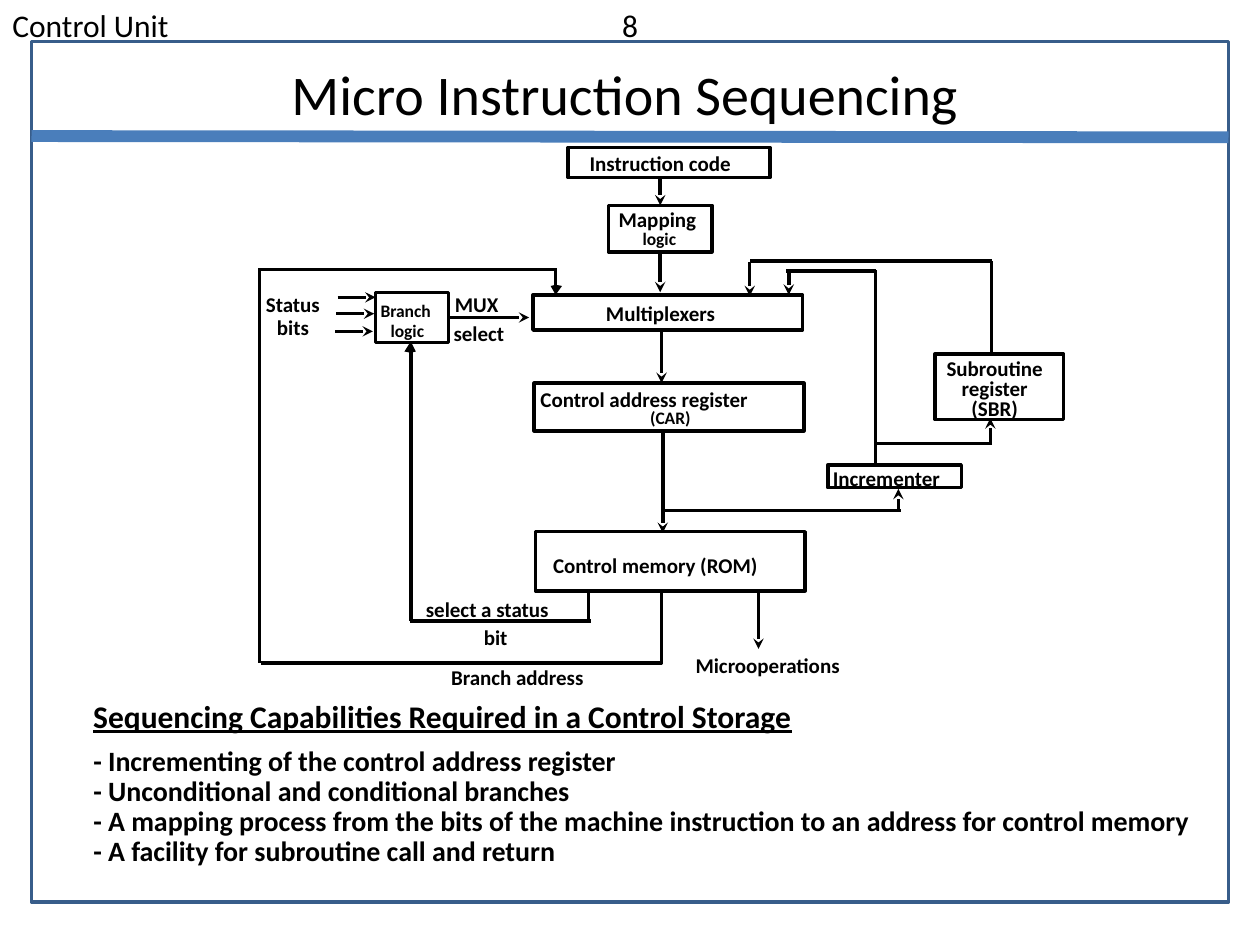
"""Build the micro instruction sequencing slide."""
from dataclasses import dataclass
from typing import Optional

import pptx
import pptx.dml.color
import pptx.enum.shapes
import pptx.enum.text
import pptx.oxml.ns
import pptx.util
from lxml import etree

PX = 9144
BLACK = pptx.dml.color.RGBColor(0x00, 0x00, 0x00)
NAVY = pptx.dml.color.RGBColor(0x38, 0x5D, 0x8A)
BLUE = pptx.dml.color.RGBColor(0x4A, 0x7E, 0xBB)
LEFT = pptx.enum.text.PP_ALIGN.LEFT
CENTER = pptx.enum.text.PP_ALIGN.CENTER
qn = pptx.oxml.ns.qn


@dataclass
class Box:
    name: str
    x: int
    y: int
    w: int
    h: int
    color: pptx.dml.color.RGBColor = BLACK


@dataclass
class Label:
    text: str
    x: int
    y: int
    w: int
    h: int
    size: int = 12
    align: int = LEFT
    space: float = 0.9
    inset: tuple = (8, 4)
    bold: bool = True
    line: bool = False
    wrap: bool = False
    tab: int = 0


@dataclass
class Wire:
    x1: int
    y1: int
    x2: int
    y2: int
    tip: bool = False
    start: Optional[tuple] = None
    end: Optional[tuple] = None
    color: pptx.dml.color.RGBColor = BLACK
    width: float = 2


BOXES = [
    Box("frame", 25, 33, 950, 683, NAVY),
    Box("code", 451, 117, 160, 24),
    Box("map", 483, 163, 82, 37),
    Box("mux", 423, 234, 214, 28),
    Box("branch", 298, 232, 58, 40),
    Box("car", 424, 304, 214, 38),
    Box("rom", 425, 422, 214, 47),
    Box("sbr", 742, 281, 102, 52),
    Box("inc", 657, 369, 106, 18),
]

WIRES = [
    Wire(25, 108, 975, 109, color=BLUE, width=6.75),
    Wire(524, 141, 524, 163, True, end=("map", 0)),
    Wire(524, 200, 524, 232, True, start=("map", 2)),
    Wire(525, 262, 525, 304, True),
    Wire(526, 342, 526, 423, True),
    Wire(602, 468, 602, 515, True),
    Wire(356, 252, 420, 252, True, start=("branch", 3)),
    Wire(527, 405, 715, 405),
    Wire(713, 404, 713, 388, True),
    Wire(695, 369, 695, 214),
    Wire(695, 215, 624, 215),
    Wire(626, 217, 626, 234, True),
    Wire(695, 352, 786, 352),
    Wire(786, 353, 786, 332, True),
    Wire(787, 282, 787, 207),
    Wire(787, 207, 595, 207),
    Wire(595, 208, 595, 235, True),
    Wire(206, 526, 206, 214),
    Wire(205, 214, 442, 214),
    Wire(441, 214, 441, 228),
    Wire(467, 470, 467, 492),
    Wire(469, 493, 325, 493),
    Wire(326, 493, 326, 279),
    *(Wire(268 - i, y, 298 - i, y, True) for i, y in enumerate((236, 249, 263))),
]

TIPS = [
    [(437, 227), (441, 226), (446, 227), (441, 234)],
    [(330, 279), (326, 280), (321, 279), (326, 271)],
]
RETURN = [(525, 471), (525, 526), (207, 526)]

LABELS = [
    Label("Control Unit\t8", 0, 0, 1000, 41, 18, LEFT, 1.0, (10, 5), False, wrap=True, tab=484),
    Label("Micro Instruction Sequencing", 75, 42, 842, 64, 32, CENTER, 1.0, (10, 5), False, wrap=True),
    Label("Sequencing Capabilities Required in a Control Storage",
          67, 550, 580, 36, 18, LEFT, 1.01, (7, 3), line=True),
    Label("- Incrementing of the control address register\n"
          "- Unconditional and conditional branches\n"
          "- A mapping process from the bits of the machine instruction to an address for control memory\n"
          "- A facility for subroutine call and return",
          67, 590, 908, 102, 16, inset=(7, 3), wrap=True),
    Label("Instruction code", 460, 118, 136, 26),
    Label("Mapping", 483, 162, 84, 44),
    Label("logic", 502, 179, 50, 23, 10),
    Label("Multiplexers", 473, 237, 110, 26),
    Label("Control address register", 421, 305, 190, 44),
    Label("(CAR)", 508, 321, 56, 23, 10),
    Label("Control memory (ROM)", 431, 437, 186, 26),
    Label("Subroutine\nregister\n(SBR)", 741, 282, 97, 56, align=CENTER, space=0.8),
    Label("Incrementer", 653, 368, 110, 26),
    Label("Branch", 294, 236, 62, 38, 10),
    Label("logic", 302, 252, 50, 23, 10),
    Label("Status\nbits", 200, 230, 65, 44, align=CENTER),
    Label("MUX", 353, 230, 58, 44),
    Label("select", 352, 253, 64, 26),
    Label("select a status", 330, 472, 122, 44),
    Label("bit", 376, 494, 42, 26),
    Label("Branch address", 350, 526, 130, 26),
    Label("Microoperations", 544, 516, 138, 26),
]


def draw_box(shapes, box: Box):
    """Draw an unfilled rectangle and return it."""
    shape = shapes.add_shape(pptx.enum.shapes.MSO_SHAPE.RECTANGLE,
                             *(v * PX for v in (box.x, box.y, box.w, box.h)))
    shape.shadow.inherit = False
    shape.fill.background()
    shape.line.color.rgb = box.color
    shape.line.width = pptx.util.Pt(2)
    return shape


def draw_wire(shapes, wire: Wire, rects: dict) -> None:
    """Draw a straight line, with an arrowhead if asked."""
    link = shapes.add_connector(pptx.enum.shapes.MSO_CONNECTOR.STRAIGHT,
                                *(v * PX for v in (wire.x1, wire.y1, wire.x2, wire.y2)))
    if wire.start:
        link.begin_connect(rects[wire.start[0]], wire.start[1])
    if wire.end:
        link.end_connect(rects[wire.end[0]], wire.end[1])
    link.line.color.rgb = wire.color
    link.line.width = pptx.util.Pt(wire.width)
    props = link.element.spPr
    if wire.tip:
        etree.SubElement(props.find(qn("a:ln")), qn("a:tailEnd"), type="stealth")
    etree.SubElement(props, qn("a:effectLst"))


def draw_path(shapes, points: list, solid: bool) -> None:
    """Draw a filled outline or an open line through the points."""
    pen = shapes.build_freeform(*points[0], scale=PX)
    pen.add_line_segments(points[1:], close=solid)
    shape = pen.convert_to_shape()
    shape.shadow.inherit = False
    if solid:
        shape.fill.solid()
        shape.fill.fore_color.rgb = BLACK
        shape.line.fill.background()
    else:
        shape.fill.background()
        shape.line.color.rgb = BLACK
        shape.line.width = pptx.util.Pt(2)


def draw_label(shapes, label: Label) -> None:
    """Draw a text box."""
    frame = shapes.add_textbox(*(v * PX for v in (label.x, label.y, label.w, label.h))).text_frame
    frame.word_wrap = label.wrap
    frame.margin_left = frame.margin_right = label.inset[0] * PX
    frame.margin_top = frame.margin_bottom = label.inset[1] * PX
    frame.text = label.text
    for para in frame.paragraphs:
        para.alignment = label.align
        para.line_spacing = label.space
        if label.tab:
            tabs = etree.SubElement(para._p.get_or_add_pPr(), qn("a:tabLst"))
            etree.SubElement(tabs, qn("a:tab"), pos=str(label.tab * PX), algn="l")
        for run in para.runs:
            run.font.name = "Calibri"
            run.font.size = pptx.util.Pt(label.size)
            run.font.bold = label.bold
            run.font.underline = label.line
            run.font.color.rgb = BLACK


def main() -> None:
    """Build and save the slide."""
    deck = pptx.Presentation()
    deck.slide_width, deck.slide_height = 1000 * PX, 750 * PX
    shapes = deck.slides.add_slide(deck.slide_layouts[6]).shapes
    rects = {box.name: draw_box(shapes, box) for box in BOXES}
    for wire in WIRES:
        draw_wire(shapes, wire, rects)
    for tip in TIPS:
        draw_path(shapes, tip, True)
    draw_path(shapes, RETURN, False)
    for label in LABELS:
        draw_label(shapes, label)
    deck.save("out.pptx")


if __name__ == "__main__":
    main()
